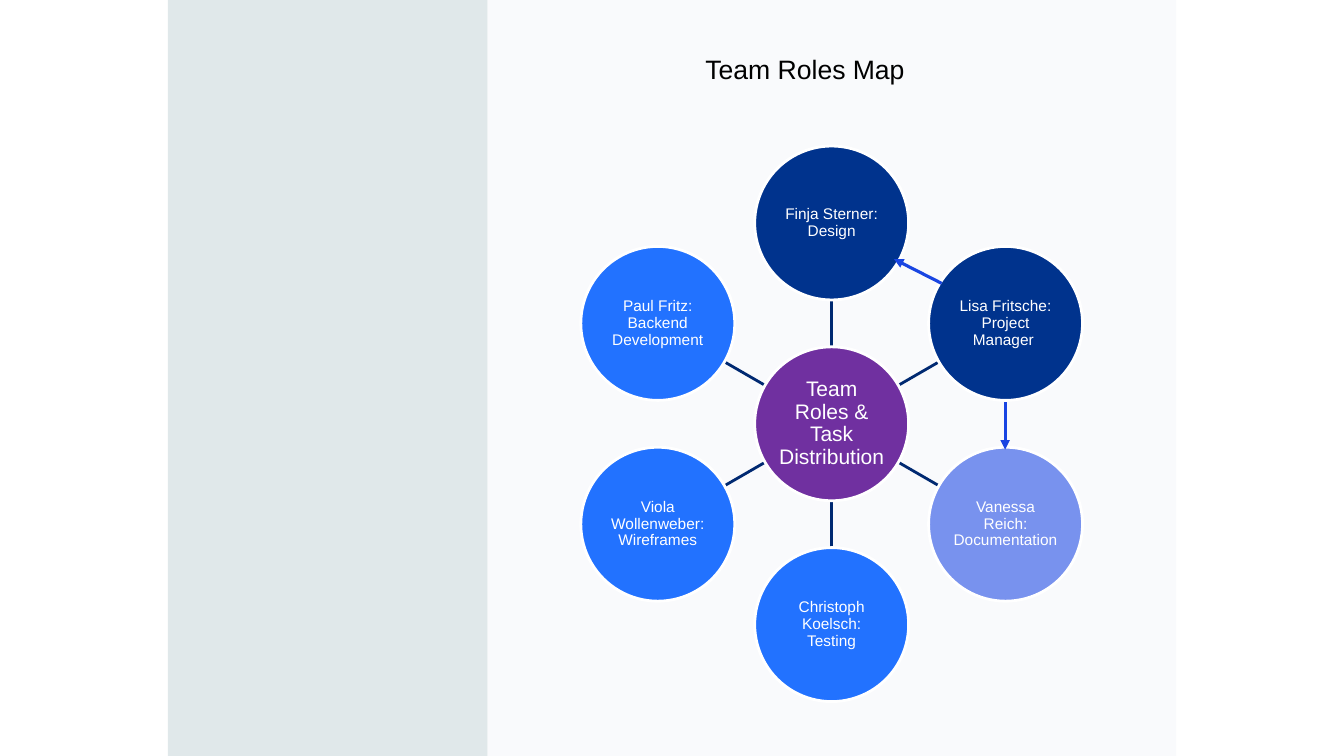
from math import cos, radians, sin

from lxml.etree import SubElement
from pptx import Presentation
from pptx.dml.color import RGBColor
from pptx.enum.shapes import MSO_CONNECTOR as Link, MSO_SHAPE as Preset
from pptx.enum.text import MSO_ANCHOR as Anchor, PP_ALIGN as Align
from pptx.oxml.ns import qn
from pptx.util import Cm, Pt

TITLE = "Team Roles Map"
HUB = ("Team Roles & Task Distribution", "7030A0")
MEMBERS = [
    ("Finja Sterner: Design", "00338D"),
    ("Lisa Fritsche: Project Manager ", "00338D"),
    ("Vanessa Reich: Documentation", "7892EE"),
    ("Christoph Koelsch: Testing", "2272FF"),
    ("Viola Wollenweber: Wireframes", "2272FF"),
    ("Paul Fritz: Backend Development", "2272FF"),
]
PANELS = [(4.23, 8.06, "E0E8EA"), (12.29, 17.35, "F9FAFC")]
LEAD_ARROWS = [((23.73, 7.14), (22.53, 6.53)), ((25.33, 10.13), (25.33, 11.33))]

SLIDE_WIDTH, SLIDE_HEIGHT = 33.87, 19.05
CENTER_X, CENTER_Y = 20.96, 10.68
ORBIT, DIAMETER = 5.06, 3.88
FONT = "Arial"


def paint(color_format, hex_color):
    """Set a colour from a hex string."""
    color_format.rgb = RGBColor.from_string(hex_color)


def write(frame, text, size, hex_color, align):
    """Write one styled paragraph."""
    frame.word_wrap = True
    paragraph = frame.paragraphs[0]
    paragraph.text = text
    paragraph.alignment = align
    paragraph.line_spacing = 0.9
    font = paragraph.runs[0].font
    font.name, font.size = FONT, Pt(size)
    paint(font.color, hex_color)


def add_panel(slide, left, width, hex_color):
    """Add a full-height background panel."""
    panel = slide.shapes.add_shape(
        Preset.RECTANGLE, Cm(left), 0, Cm(width), Cm(SLIDE_HEIGHT))
    panel.shadow.inherit = False
    panel.fill.solid()
    paint(panel.fill.fore_color, hex_color)
    panel.line.fill.background()


def add_title(slide):
    """Add the slide heading."""
    heading = slide.shapes.add_textbox(Cm(17.53), Cm(1.3), Cm(10.95), Cm(1.5))
    write(heading.text_frame, TITLE, 19, "000000", Align.LEFT)


def add_circle(slide, center, text, hex_color, size):
    """Add a labelled circle around its centre."""
    left, top = (Cm(value - DIAMETER / 2) for value in center)
    circle = slide.shapes.add_shape(
        Preset.OVAL, left, top, Cm(DIAMETER), Cm(DIAMETER))
    circle.shadow.inherit = False
    circle.fill.solid()
    paint(circle.fill.fore_color, hex_color)
    paint(circle.line.color, "FFFFFF")
    circle.line.width = Pt(2)
    frame = circle.text_frame
    frame.margin_left = frame.margin_right = Cm(0.03)
    frame.margin_top = frame.margin_bottom = Cm(0.03)
    frame.vertical_anchor = Anchor.MIDDLE
    write(frame, text, size, "FFFFFF", Align.CENTER)


def add_line(slide, start, end, hex_color, width, arrow=False):
    """Add a straight line, with an arrowhead at its end if asked."""
    line = slide.shapes.add_connector(
        Link.STRAIGHT, *(Cm(value) for value in (*start, *end)))
    paint(line.line.color, hex_color)
    line.line.width = Pt(width)
    properties = line.element.spPr
    if arrow:
        SubElement(properties.find(qn("a:ln")), qn("a:tailEnd"), type="triangle")
    SubElement(properties, qn("a:effectLst"))


def around(angle, distance):
    """Return the point at a clockwise angle from the top of the hub."""
    turn = radians(angle)
    return CENTER_X + distance * sin(turn), CENTER_Y - distance * cos(turn)


def main():
    """Build and save the slide."""
    deck = Presentation()
    deck.slide_width, deck.slide_height = Cm(SLIDE_WIDTH), Cm(SLIDE_HEIGHT)
    slide = deck.slides.add_slide(deck.slide_layouts[6])
    for panel in PANELS:
        add_panel(slide, *panel)
    add_title(slide)
    angles = [index * 360 / len(MEMBERS) for index in range(len(MEMBERS))]
    for angle in angles:
        add_line(slide, around(angle, DIAMETER / 2),
                 around(angle, ORBIT - DIAMETER / 2), "002971", 2)
    add_circle(slide, (CENTER_X, CENTER_Y), *HUB, 15)
    for angle, (role, hex_color) in zip(angles, MEMBERS):
        add_circle(slide, around(angle, ORBIT), role, hex_color, 11)
    for start, end in LEAD_ARROWS:
        add_line(slide, start, end, "1945E2", 2.25, arrow=True)
    deck.save("out.pptx")


if __name__ == "__main__":
    main()
